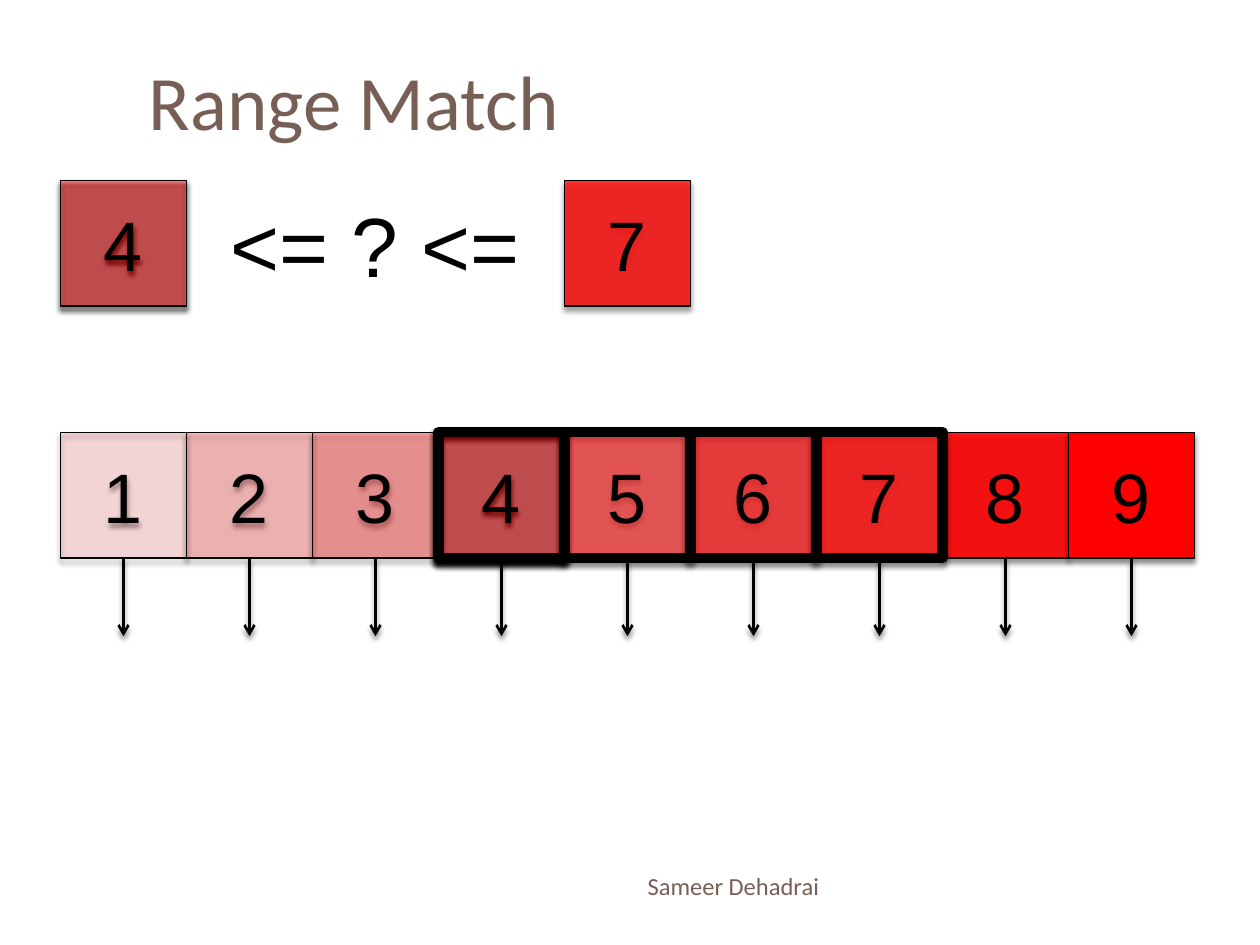
from lxml import etree
from pptx import Presentation
from pptx import util as u
from pptx.dml.color import RGBColor
from pptx.enum import shapes, text
from pptx.oxml import ns

BLACK = RGBColor(0x00, 0x00, 0x00)
RED = RGBColor(0xFF, 0x00, 0x00)
BROWN = RGBColor(0x77, 0x5F, 0x55)

CELL = 72
ROW_LEFT, ROW_TOP = 34.56, 247
QUERY_TOP = 103
ARROW_LENGTH = 44.5
THIN, THICK = 0.79, 6
LOW, HIGH = 4, 7


class RangeSlide:
    """Holds the slide and the style of its elements."""

    def __init__(self, slide):
        self.slide = slide

    def add_shadow(self, effects):
        shadow = etree.SubElement(
            effects, ns.qn("a:outerShdw"), blurRad=str(u.Pt(3)),
            dist=str(u.Pt(2.4)), dir="5400000", rotWithShape="0")
        color = etree.SubElement(shadow, ns.qn("a:srgbClr"), val=str(BLACK))
        etree.SubElement(color, ns.qn("a:alpha"), val="45000")

    def add_words(self, frame, words, size, font, color, align):
        paragraph = frame.paragraphs[0]
        paragraph.alignment = align
        run = paragraph.add_run()
        run.text = words
        run.font.size = u.Pt(size)
        run.font.name = font
        run.font.color.rgb = color

    def label(self, box, words, size, font, color,
              align=text.PP_ALIGN.LEFT, anchor=text.MSO_ANCHOR.MIDDLE, wrap=True):
        frame = self.slide.shapes.add_textbox(*map(u.Pt, box)).text_frame
        frame.word_wrap = wrap
        frame.vertical_anchor = anchor
        self.add_words(frame, words, size, font, color, align)

    def cell(self, number, left, top, border=THIN):
        cell = self.slide.shapes.add_shape(
            shapes.MSO_SHAPE.RECTANGLE, *map(u.Pt, (left, top, CELL, CELL)))
        cell.shadow.inherit = False
        cell.fill.solid()
        cell.fill.fore_color.rgb = RED
        properties = cell.element.spPr
        # Larger numbers are more opaque, up to solid red at 9
        if number < 9:
            color = properties.find(ns.qn("a:solidFill")).find(ns.qn("a:srgbClr"))
            etree.SubElement(color, ns.qn("a:alpha"),
                             val=str((1 + 11 * number) * 1000))
        cell.line.color.rgb = BLACK
        cell.line.width = u.Pt(border)
        self.add_shadow(properties.find(ns.qn("a:effectLst")))
        cell.text_frame.vertical_anchor = text.MSO_ANCHOR.MIDDLE
        self.add_words(cell.text_frame, str(number), 40, "Arial", BLACK,
                       text.PP_ALIGN.CENTER)
        return cell

    def arrow_below(self, cell):
        x = cell.left + cell.width // 2
        y = cell.top + cell.height
        arrow = self.slide.shapes.add_connector(
            shapes.MSO_CONNECTOR.STRAIGHT, x, y, x, y + u.Pt(ARROW_LENGTH))
        arrow.begin_connect(cell, 2)
        arrow.line.color.rgb = BLACK
        arrow.line.width = u.Pt(1.5)
        properties = arrow.element.spPr
        etree.SubElement(properties.find(ns.qn("a:ln")), ns.qn("a:tailEnd"),
                         type="arrow")
        self.add_shadow(etree.SubElement(properties, ns.qn("a:effectLst")))


def main():
    prs = Presentation()
    prs.slide_width, prs.slide_height = u.Pt(720), u.Pt(540)
    page = RangeSlide(prs.slides.add_slide(prs.slide_layouts[6]))

    # Title
    page.label((77.76, 18, 642.24, 77.76), "Range Match", 44, "Calibri", BROWN)

    # Stored values; 8 goes first so the thick border of 7 lies over it
    cells = {}
    for number in (8, 1, 2, 3, 4, 5, 6, 7, 9):
        border = THICK if LOW <= number <= HIGH else THIN
        cells[number] = page.cell(
            number, ROW_LEFT + (number - 1) * CELL, ROW_TOP, border)

    # Range query
    page.cell(LOW, ROW_LEFT, QUERY_TOP)
    page.label((124.5, 107.28, 181.44, 65.5), "<= ? <=", 48, "Arial", BLACK,
               anchor=text.MSO_ANCHOR.TOP, wrap=False)
    page.cell(HIGH, ROW_LEFT + 4 * CELL, QUERY_TOP)

    # Match lines
    for number in sorted(cells):
        page.arrow_below(cells[number])

    # Footer
    page.label((48.24, 491.76, 426.96, 28.8), "Sameer Dehadrai", 14, "Calibri",
               BROWN, align=text.PP_ALIGN.RIGHT)

    prs.save("out.pptx")


if __name__ == "__main__":
    main()
